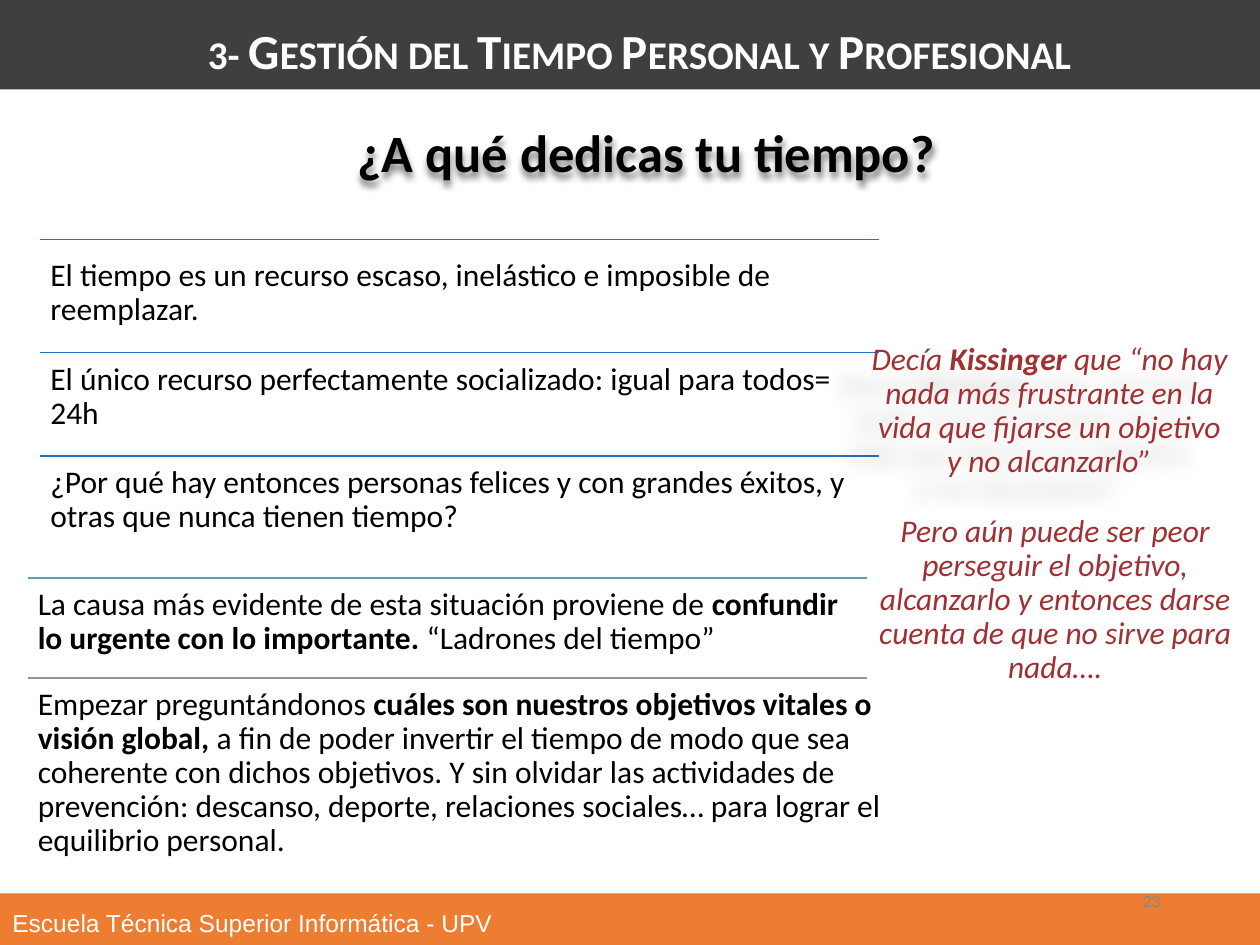
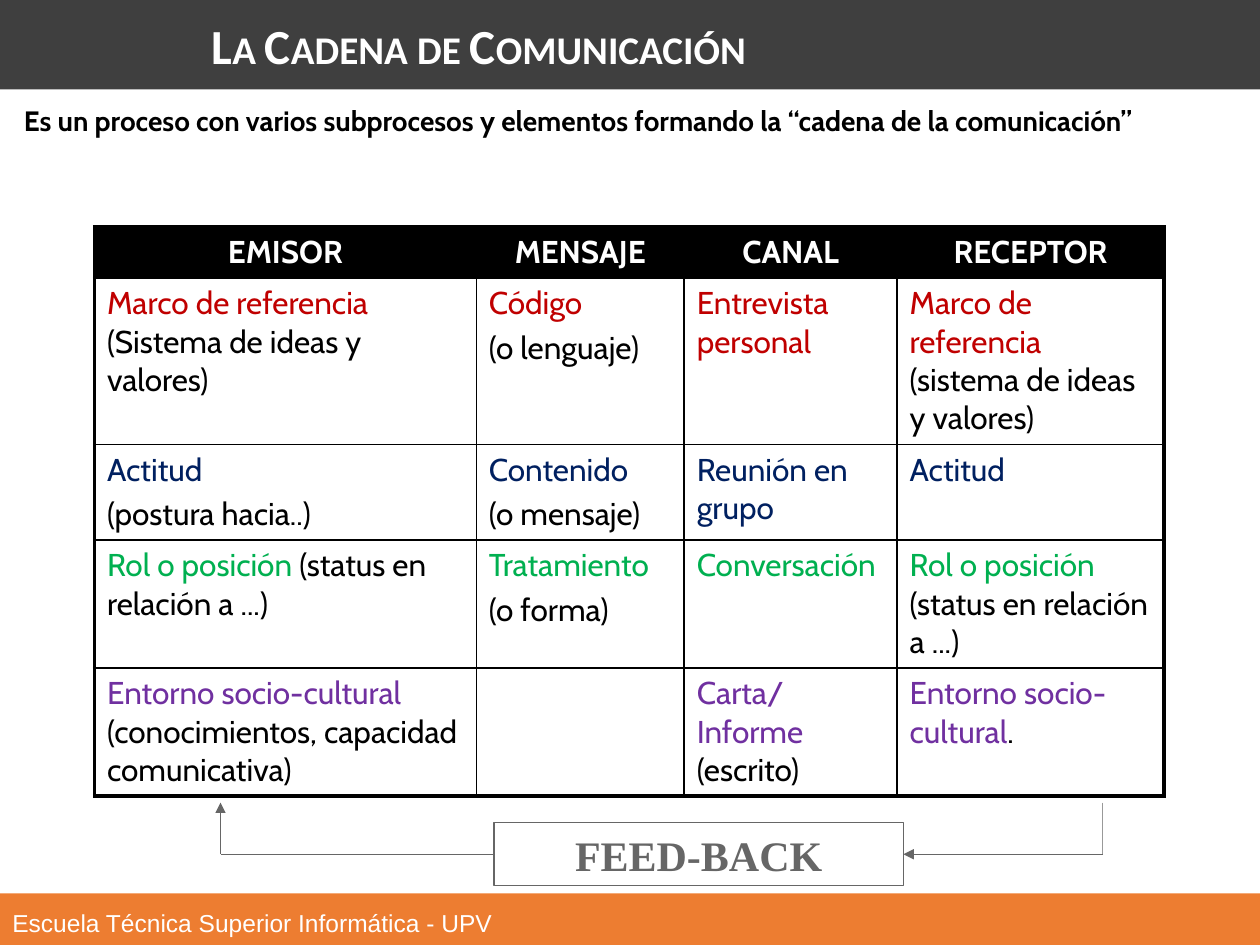
from itertools import pairwise

from lxml.etree import SubElement
from pptx import Presentation
from pptx.dml.color import RGBColor
from pptx.enum.shapes import MSO_CONNECTOR, MSO_SHAPE
from pptx.enum.text import MSO_ANCHOR, MSO_AUTO_SIZE, PP_ALIGN
from pptx.oxml.ns import qn
from pptx.util import Inches, Pt

COLORS = {
    "white": "FFFFFF", "black": "000000", "band": "3F3F3F", "footer": "ED7D31",
    "number": "888888", "blue": "2272C0", "teal": "5AA2AE", "mauve": "9C8F9F",
    "quote": "A03033", "gray": "666666", "light_gray": "999999",
    "red": "C00000", "navy": "002060", "green": "00B050", "purple": "7030A0",
}

FOOTER = "Escuela Técnica Superior Informática - UPV"
TIME_TITLE = "3- Gestión del Tiempo Personal y Profesional"
TIME_QUESTION = "¿A qué dedicas tu tiempo?"
PAGE_NUMBER = "23"

IDEAS = [
    (0.32, 1.9, 0.08, 6.66, "blue", 0.75,
     [("El tiempo es un recurso escaso, inelástico e imposible de reemplazar.", False)]),
    (0.32, 2.8, 0, 6.66, "blue", 0.75,
     [("El único recurso perfectamente socializado: igual para todos= 24h", False)]),
    (0.32, 3.62, 0, 6.66, "blue", 0.75,
     [("¿Por qué hay entonces personas felices y con grandes éxitos, y otras que "
       "nunca tienen tiempo?", False)]),
    (0.22, 4.59, 0, 6.66, "teal", 1,
     [("La causa más evidente de esta situación proviene de ", False),
      ("confundir lo urgente con lo importante. ", True),
      ("“Ladrones del tiempo”", False)]),
    (0.22, 5.38, 0, 7.13, "mauve", 1,
     [("Empezar preguntándonos ", False),
      ("cuáles son nuestros objetivos vitales o visión global, ", True),
      ("a fin de poder invertir el tiempo de modo que sea coherente con dichos "
       "objetivos. Y sin olvidar las actividades de prevención: descanso, deporte, "
       "relaciones sociales… para lograr el equilibrio personal.", False)]),
]
RULE_WIDTH = 6.66

KISSINGER = [
    ("Decía ", False), ("Kissinger", True),
    (" que “no hay nada más frustrante en la vida que fijarse un objetivo y no "
     "alcanzarlo”", False),
]
WORSE = [("Pero aún puede ser peor perseguir el objetivo, alcanzarlo y entonces darse "
          "cuenta de que no sirve para nada….", False)]

CHAIN_TITLE = "La Cadena de Comunicación"
CHAIN_INTRO = ("Es un proceso con varios subprocesos y elementos formando la "
               "“cadena de la comunicación”")
CHAIN_HEADERS = ["EMISOR", "MENSAJE", "CANAL", "RECEPTOR"]
CHAIN_ROWS = [
    ("red", [[("Marco de referencia ", "(Sistema de ideas y valores)")],
             [("Código", ""), ("", "(o lenguaje)")],
             [("Entrevista personal", "")],
             [("Marco de referencia ", "(sistema de ideas y valores)")]]),
    ("navy", [[("Actitud", ""), ("", "(postura hacia..)")],
              [("Contenido", ""), ("", "(o mensaje)")],
              [("Reunión en grupo", "")],
              [("Actitud", "")]]),
    ("green", [[("Rol o posición ", "(status en relación a ...)")],
               [("Tratamiento", ""), ("", "(o forma)")],
               [("Conversación", "")],
               [("Rol o posición ", "(status en relación a ...)")]]),
    ("purple", [[("Entorno socio-cultural ", "(conocimientos, capacidad comunicativa)")],
                [],
                [("Carta/Informe ", "(escrito)")],
                [("Entorno socio-cultural", ".")]]),
]
COLUMN_WIDTHS = [3.03, 1.65, 1.69, 2.12]
ROW_HEIGHTS = [0.4, 1.32, 0.76, 1.01, 1.01]


def rgb(name):
    return RGBColor.from_string(COLORS[name])


def style_paragraph(paragraph, size, font, color, bold=None, italic=None,
                    align=PP_ALIGN.LEFT, spacing=None):
    paragraph.alignment = align
    paragraph.line_spacing = spacing
    paragraph.font.size = Pt(size)
    paragraph.font.name = font
    paragraph.font.bold = bold
    paragraph.font.italic = italic
    if color:
        paragraph.font.color.rgb = rgb(color)


def prepare_frame(frame, inset=(0.1, 0.05), anchor=MSO_ANCHOR.TOP):
    frame.word_wrap = True
    frame.auto_size = MSO_AUTO_SIZE.NONE
    frame.vertical_anchor = anchor
    frame.margin_left = frame.margin_right = Inches(inset[0])
    frame.margin_top = frame.margin_bottom = Inches(inset[1])
    return frame.paragraphs[0]


def add_text(slide, box, runs, inset=(0.1, 0.05), anchor=MSO_ANCHOR.TOP, **style):
    shape = slide.shapes.add_textbox(*map(Inches, box))
    paragraph = prepare_frame(shape.text_frame, inset, anchor)
    style_paragraph(paragraph, **style)
    for text, bold in runs:
        run = paragraph.add_run()
        run.text = text
        if bold:
            run.font.bold = True
    return shape


def add_box(slide, box, fill, line=None):
    shape = slide.shapes.add_shape(MSO_SHAPE.RECTANGLE, *map(Inches, box))
    shape.shadow.inherit = False
    shape.fill.solid()
    shape.fill.fore_color.rgb = rgb(fill)
    if line:
        shape.line.color.rgb = rgb(line)
        shape.line.width = Pt(0.75)
    else:
        shape.line.fill.background()
    return shape


def add_line(slide, start, end, color, width=0.75, arrow=False):
    line = slide.shapes.add_connector(MSO_CONNECTOR.STRAIGHT, *map(Inches, start + end))
    line.line.color.rgb = rgb(color)
    line.line.width = Pt(width)
    if arrow:
        SubElement(line.line._get_or_add_ln(), qn("a:tailEnd"), type="triangle")
    SubElement(line.element.spPr, qn("a:effectLst"))
    return line


def add_shadow(shape, blur, distance, angle, opacity):
    effects = SubElement(shape.element.spPr, qn("a:effectLst"))
    shadow = SubElement(effects, qn("a:outerShdw"), blurRad=str(Pt(blur)),
                        dist=str(Pt(distance)), dir=str(angle * 60000), rotWithShape="0")
    color = SubElement(shadow, qn("a:srgbClr"), val=COLORS["black"])
    SubElement(color, qn("a:alpha"), val=str(opacity * 1000))


def add_bands(slide):
    header = add_box(slide, (0, 0, 10, 0.71), "band")
    footer = add_box(slide, (0, 7.09, 10, 0.47), "footer")
    paragraph = prepare_frame(footer.text_frame, (0.1, 0.1), MSO_ANCHOR.MIDDLE)
    paragraph.text = FOOTER
    style_paragraph(paragraph, 14, "Arial", "white")
    layout_tree = slide.slide_layout.shapes.element
    for index, band in enumerate((header, footer)):
        band.element.nvSpPr.cNvPr.set("id", str(100 + index))
        layout_tree.insert(2 + index, band.element)


def set_title(slide, text, box):
    title = slide.shapes.title
    title.left, title.top, title.width, title.height = map(Inches, box)
    paragraph = prepare_frame(title.text_frame)
    paragraph.text = text
    style_paragraph(paragraph, 28, "Calibri", "white", bold=True)
    paragraph.runs[0]._r.get_or_add_rPr().set("cap", "small")


def build_time_slide(slide):
    set_title(slide, TIME_TITLE, (1.55, 0.11, 7.42, 0.5))
    add_text(slide, (7.06, 6.95, 2.25, 0.4), [(PAGE_NUMBER, False)],
             anchor=MSO_ANCHOR.MIDDLE, size=9, font="Arial", color="number",
             align=PP_ALIGN.RIGHT)
    bottoms = [idea[1] for idea in IDEAS] + [6.5]
    for idea, (top, bottom) in zip(IDEAS, pairwise(bottoms)):
        left, _, gap, width, color, weight, runs = idea
        add_line(slide, (left, top), (left + RULE_WIDTH, top), color, weight)
        add_text(slide, (left, top + gap, width, bottom - top - gap), runs,
                 inset=(0.08, 0.08), size=18, font="Calibri", color="black", spacing=0.9)
    quote_style = dict(size=18, font="Calibri", color="quote", italic=True,
                       align=PP_ALIGN.CENTER, spacing=0.9)
    kissinger = add_text(slide, (6.81, 2.24, 3.04, 2.05), KISSINGER,
                         anchor=MSO_ANCHOR.MIDDLE, **quote_style)
    add_shadow(kissinger, 12, 23, 141, 20)
    add_text(slide, (6.82, 4.04, 3.11, 1.81), WORSE, **quote_style)
    question = add_text(slide, (2.52, 0.93, 5.22, 0.73), [(TIME_QUESTION, False)],
                        inset=(0.08, 0.08), size=30, font="Calibri", color="black",
                        bold=True, align=PP_ALIGN.CENTER, spacing=0.9)
    add_shadow(question, 4, 3, 90, 50)


def set_borders(cell, row, column):
    outer = {"L": column == 0, "R": column == len(COLUMN_WIDTHS) - 1,
             "T": row == 0, "B": row == len(ROW_HEIGHTS) - 1}
    properties = cell._tc.get_or_add_tcPr()
    for side, is_outer in outer.items():
        border = SubElement(properties, qn(f"a:ln{side}"),
                            w=str(Pt(2.25 if is_outer else 1)))
        fill = SubElement(border, qn("a:solidFill"))
        SubElement(fill, qn("a:srgbClr"), val=COLORS["black"])


def fill_cell(cell, parts, color):
    for index, part in enumerate(parts):
        frame = cell.text_frame
        paragraph = frame.add_paragraph() if index else frame.paragraphs[0]
        style_paragraph(paragraph, 18, "Cabin", None)
        if index:
            paragraph.space_before = Pt(3.6)
        for text, run_color in zip(part, (color, "black")):
            if text:
                run = paragraph.add_run()
                run.text = text
                run.font.color.rgb = rgb(run_color)


def add_chain_table(slide):
    frame = slide.shapes.add_table(
        len(ROW_HEIGHTS), len(COLUMN_WIDTHS), Inches(0.75), Inches(1.8),
        Inches(sum(COLUMN_WIDTHS)), Inches(sum(ROW_HEIGHTS)))
    table = frame.table
    table.horz_banding = False
    for column, width in zip(table.columns, COLUMN_WIDTHS):
        column.width = Inches(width)
    for row, height in zip(table.rows, ROW_HEIGHTS):
        row.height = Inches(height)
    for row in range(len(ROW_HEIGHTS)):
        for column, header in enumerate(CHAIN_HEADERS):
            cell = table.cell(row, column)
            set_borders(cell, row, column)
            cell.fill.solid()
            cell.fill.fore_color.rgb = rgb("white" if row else "black")
            if row:
                color, cells = CHAIN_ROWS[row - 1]
                fill_cell(cell, cells[column], color)
            else:
                paragraph = cell.text_frame.paragraphs[0]
                paragraph.text = header
                style_paragraph(paragraph, 18, "Cabin", "white", bold=True,
                                align=PP_ALIGN.CENTER)


def add_feedback(slide):
    left, right, top, middle = 1.75, 8.75, 6.37, 6.78
    feedback = add_box(slide, (3.92, 6.53, 3.25, 0.5), "white", "gray")
    paragraph = prepare_frame(feedback.text_frame, anchor=MSO_ANCHOR.MIDDLE)
    paragraph.text = "FEED-BACK"
    style_paragraph(paragraph, 24, "Times New Roman", "gray", bold=True,
                    align=PP_ALIGN.CENTER)
    add_line(slide, (right, top), (right, middle), "light_gray")
    incoming = add_line(slide, (right, middle), (7.17, middle), "gray", arrow=True)
    incoming.end_connect(feedback, 3)
    outgoing = add_line(slide, (3.92, middle), (left, middle), "gray")
    outgoing.begin_connect(feedback, 1)
    add_line(slide, (left, middle), (left, top), "gray", arrow=True)


def build_chain_slide(slide):
    set_title(slide, CHAIN_TITLE, (1.58, 0.07, 6.84, 0.5))
    add_text(slide, (0.09, 0.77, 9.91, 0.37), [(CHAIN_INTRO, False)],
             size=16, font="Cabin", color="black", bold=True)
    add_chain_table(slide)
    add_feedback(slide)


def main():
    presentation = Presentation()
    presentation.slide_width = Inches(10)
    presentation.slide_height = Inches(7.5)
    layout = presentation.slide_layouts[5]
    time_slide = presentation.slides.add_slide(layout)
    add_bands(time_slide)
    build_time_slide(time_slide)
    build_chain_slide(presentation.slides.add_slide(layout))
    presentation.save("out.pptx")


if __name__ == "__main__":
    main()
